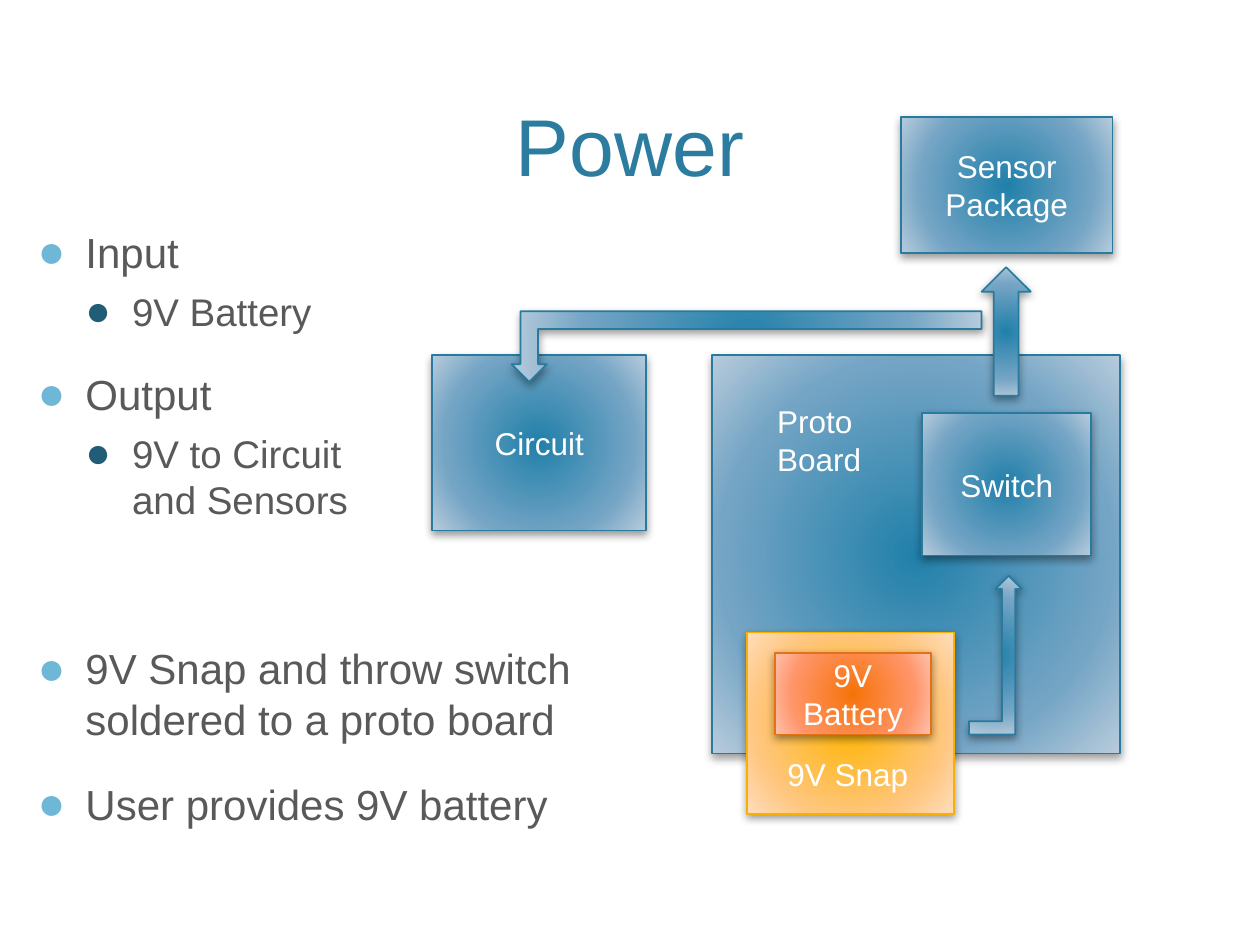
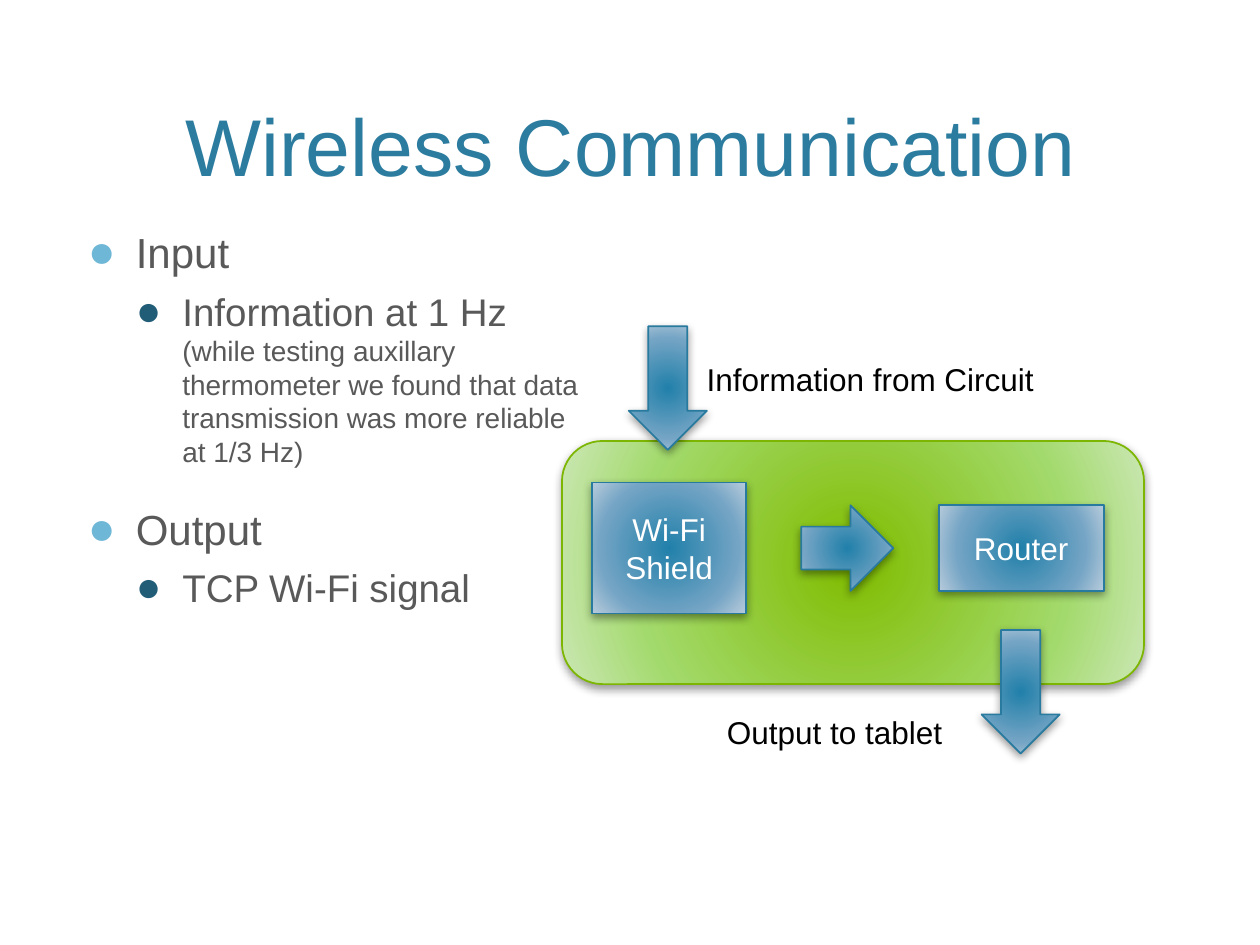
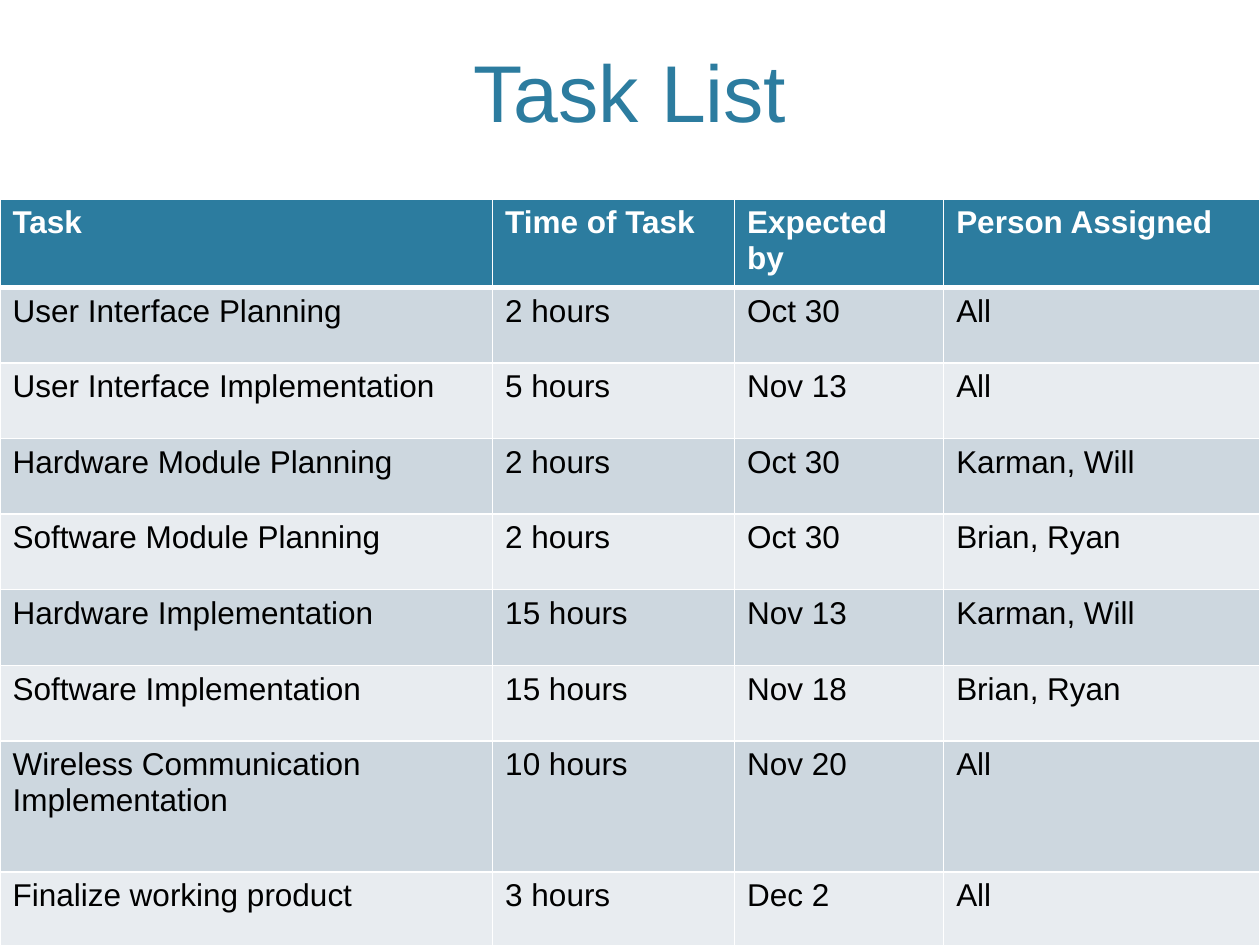
from lxml import etree
from pptx import Presentation
from pptx.dml.color import RGBColor
from pptx.enum.shapes import MSO_SHAPE
from pptx.enum.text import MSO_ANCHOR, MSO_AUTO_SIZE, PP_ALIGN
from pptx.oxml import parse_xml
from pptx.oxml.ns import qn
from pptx.util import Inches, Pt

RECT, ROUND = MSO_SHAPE.RECTANGLE, MSO_SHAPE.ROUNDED_RECTANGLE
UP, DOWN, RIGHT = MSO_SHAPE.UP_ARROW, MSO_SHAPE.DOWN_ARROW, MSO_SHAPE.RIGHT_ARROW
BENT = MSO_SHAPE.BENT_UP_ARROW
LEFT, MID = PP_ALIGN.LEFT, PP_ALIGN.CENTER
TOP, CENTER, BOTTOM = MSO_ANCHOR.TOP, MSO_ANCHOR.MIDDLE, MSO_ANCHOR.BOTTOM
FIT = MSO_AUTO_SIZE.SHAPE_TO_FIT_TEXT

FONT = "Arial"
TEAL, GREY, WHITE, BLACK = "2C7C9F", "595959", "FFFFFF", "000000"
BANDS = ("CDD7DF", "E8ECF0")
# Each theme: line colour, then the gradient from its centre outward
BLUE = ("287A9E", "2180AA", "75A5C5", "B8CCDC")
GOLD = ("F9B000", "FFB400", "FFC67F", "FFDEBD")
ORANGE = ("E27218", "F67309", "FF9569", "FEC3B0")
GREEN = ("7DB602", "80BC00", "A3DA6D", "CBE7B4")
STOPS = (0, 69, 100)
# Each level: text size, indent, hanging, space before, bullet colour
LEVELS = ((24, 0.38, 0.38, 20, "6FB7D7"), (22, 0.75, 0.37, 6, "215D77"))

TASKS = (
    ("Task", "Time of Task", "Expected by", "Person Assigned"),
    ("User Interface Planning", "2 hours", "Oct 30", "All"),
    ("User Interface Implementation", "5 hours", "Nov 13", "All"),
    ("Hardware Module Planning", "2 hours", "Oct 30", "Karman, Will"),
    ("Software Module Planning", "2 hours", "Oct 30", "Brian, Ryan"),
    ("Hardware Implementation", "15 hours", "Nov 13", "Karman, Will"),
    ("Software Implementation", "15 hours", "Nov 18", "Brian, Ryan"),
    ("Wireless Communication Implementation", "10 hours", "Nov 20", "All"),
    ("Finalize working product", "3 hours", "Dec 2", "All"),
)
COLS = (3.91, 1.92, 1.66, 2.51)
ROWS = (0.6,) * 7 + (1.04, 0.6)


def color(code):
    """Turn a hex string into a colour."""
    return RGBColor.from_string(code)


def node(parent, tag, **attrs):
    """Append a drawing element to a parent."""
    return etree.SubElement(parent, qn(tag), {k: str(v) for k, v in attrs.items()})


def add_run(para, text, size, code, bold=False):
    """Add one styled run."""
    run = para.add_run()
    run.text = text
    font = run.font
    font.name, font.size, font.bold = FONT, Pt(size), bold
    font.color.rgb = color(code)


def add_text(slide, at, lines, size, code, align=LEFT, anchor=TOP, wrap=False):
    """Add a text box with one paragraph a line."""
    frame = slide.shapes.add_textbox(*map(Inches, at)).text_frame
    frame.word_wrap, frame.vertical_anchor = wrap, anchor
    if not wrap:
        frame.auto_size = FIT
    for i, line in enumerate(lines):
        para = frame.add_paragraph() if i else frame.paragraphs[0]
        para.alignment = align
        add_run(para, line, size, code)


def add_title(slide, text, top=0.12, height=1.46):
    """Add the slide title."""
    add_text(slide, (0.6, top, 8.8, height), [text], 46, TEAL, MID, BOTTOM, True)


def add_list(slide, at, items):
    """Add bullets; an item is level, runs of (text, size) and extra gap."""
    frame = slide.shapes.add_textbox(*map(Inches, at)).text_frame
    frame.word_wrap = True
    for i, (level, runs, gap) in enumerate(items):
        size, indent, hang, before, tint = LEVELS[level]
        para = frame.add_paragraph() if i else frame.paragraphs[0]
        para.level, para.space_before = level, Pt(before + gap)
        props = para._p.get_or_add_pPr()
        props.set("marL", str(Inches(indent)))
        props.set("indent", str(-Inches(hang)))
        node(node(props, "a:buClr"), "a:srgbClr", val=tint)
        node(props, "a:buSzPct", val=110000)
        node(props, "a:buFont", typeface=FONT)
        node(props, "a:buChar", char="●")
        for text, small in runs:
            for j, part in enumerate(text.split("\n")):
                if j:
                    para.add_line_break()
                add_run(para, part, small or size, GREY)


def item(level, text, gap=0):
    """Describe a bullet with a single run."""
    return level, [(text, None)], gap


def add_glow(shape, codes):
    """Fill a shape with a gradient that spreads from its centre."""
    shape.fill.background()
    props = shape._element.spPr
    grad = parse_xml('<a:gradFill rotWithShape="1" xmlns:a='
                     '"http://schemas.openxmlformats.org/drawingml/2006/main"/>')
    stops = node(grad, "a:gsLst")
    for pos, code in zip(STOPS, codes):
        node(node(stops, "a:gs", pos=pos * 1000), "a:srgbClr", val=code)
    way = node(grad, "a:path", path="circle")
    node(way, "a:fillToRect", **dict.fromkeys("ltrb", 100000))
    props.replace(props.find(qn("a:noFill")), grad)


def add_shade(shape):
    """Give a shape a soft shadow below it."""
    shape.shadow.inherit = False
    effects = shape._element.spPr.find(qn("a:effectLst"))
    shade = node(effects, "a:outerShdw", blurRad=Pt(5), dist=Pt(2),
                 dir=90 * 60000, rotWithShape=0)
    node(node(shade, "a:srgbClr", val=BLACK), "a:alpha", val=40000)


def add_block(slide, at, text="", theme=BLUE, kind=RECT, turn=0):
    """Add a diagram block or arrow."""
    shape = slide.shapes.add_shape(kind, *map(Inches, at))
    shape.rotation = turn
    add_glow(shape, theme[1:])
    shape.line.color.rgb, shape.line.width = color(theme[0]), Pt(1)
    add_shade(shape)
    if text:
        frame = shape.text_frame
        frame.word_wrap, frame.vertical_anchor = True, CENTER
        frame.paragraphs[0].alignment = MID
        add_run(frame.paragraphs[0], text, 18, WHITE)


def add_edges(cell, top, bottom):
    """Draw white borders around a cell."""
    props = cell._tc.get_or_add_tcPr()
    for side, width in zip("LRTB", (1, 1, top, bottom)):
        edge = node(props, "a:ln" + side, w=Pt(width))
        node(node(edge, "a:solidFill"), "a:srgbClr", val=WHITE)


def add_tasks(slide):
    """Add the task table."""
    spot = map(Inches, (0, 1.58, sum(COLS), sum(ROWS)))
    table = slide.shapes.add_table(len(ROWS), len(COLS), *spot).table
    for col, width in zip(table.columns, COLS):
        col.width = Inches(width)
    for r, (height, texts) in enumerate(zip(ROWS, TASKS)):
        table.rows[r].height = Inches(height)
        head = r == 0
        for c, text in enumerate(texts):
            cell = table.cell(r, c)
            add_edges(cell, 3 if r == 1 else 1, 3 if head else 1)
            cell.fill.solid()
            cell.fill.fore_color.rgb = color(TEAL if head else BANDS[(r - 1) % 2])
            add_run(cell.text_frame.paragraphs[0], text, 18,
                    WHITE if head else BLACK, head)


def draw_power(slide):
    """Build the power slide."""
    add_title(slide, "Power")
    add_list(slide, (0.2, 1.75, 5.45, 4.75), [
        item(0, "Input"),
        item(1, "9V Battery"),
        item(0, "Output"),
        item(1, "9V to Circuit\nand Sensors"),
        item(0, "9V Snap and throw switch soldered to a proto board", 49),
        item(0, "User provides 9V battery"),
    ])
    add_block(slide, (3.43, 2.82, 1.7, 1.39), "Circuit")
    add_block(slide, (5.65, 2.82, 3.24, 3.16))
    add_block(slide, (5.93, 5.02, 1.64, 1.44), theme=GOLD)
    add_block(slide, (6.15, 5.18, 1.24, 0.65), "9V Battery", ORANGE)
    add_block(slide, (7.15, 0.93, 1.68, 1.08), "Sensor Package")
    add_text(slide, (6.15, 5.94, 1.21, 0.4), ["9V Snap"], 18, WHITE)
    add_block(slide, (7.32, 3.28, 1.34, 1.13), "Switch")
    add_text(slide, (6.07, 3.14, 0.92, 0.71), ["Proto", "Board"], 18, WHITE)
    add_block(slide, (7.69, 4.57, 0.42, 1.26), kind=BENT)
    add_block(slide, (7.79, 2.12, 0.39, 1.02), kind=UP)
    add_block(slide, (4.06, 2.47, 3.73, 0.56), kind=BENT, turn=180)


def draw_wireless(slide):
    """Build the wireless slide."""
    add_block(slide, (4.46, 3.5, 4.62, 1.93), theme=GREEN, kind=ROUND)
    add_title(slide, "Wireless Communication")
    note = ("(while testing auxillary thermometer we found that data "
            "transmission was more reliable at 1/3 Hz)")
    add_list(slide, (0.6, 1.75, 4.1, 4.75), [
        item(0, "Input"),
        (1, [("Information at 1 Hz ", None), (note, 16)], 0),
        item(0, "Output"),
        item(1, "TCP Wi-Fi signal"),
    ])
    add_block(slide, (4.7, 3.83, 1.22, 1.04), "Wi-Fi Shield")
    add_block(slide, (7.45, 4.01, 1.31, 0.68), "Router")
    for left, top in ((4.99, 2.59), (7.79, 5)):
        add_block(slide, (left, top, 0.62, 0.98), kind=DOWN)
    add_block(slide, (6.36, 4.01, 0.73, 0.68), kind=RIGHT)
    add_text(slide, (5.51, 2.81, 3.26, 0.4), ["Information from Circuit"], 18, BLACK)
    add_text(slide, (5.67, 5.61, 1.95, 0.4), ["Output to tablet"], 18, BLACK)


def draw_tasks(slide):
    """Build the task list slide."""
    add_title(slide, "Task List", 0.4, 0.75)
    add_tasks(slide)


def main():
    """Build and save the deck."""
    deck = Presentation()
    deck.slide_width, deck.slide_height = Inches(10), Inches(7.5)
    for draw in (draw_power, draw_wireless, draw_tasks):
        draw(deck.slides.add_slide(deck.slide_layouts[6]))
    deck.save("out.pptx")


main()
